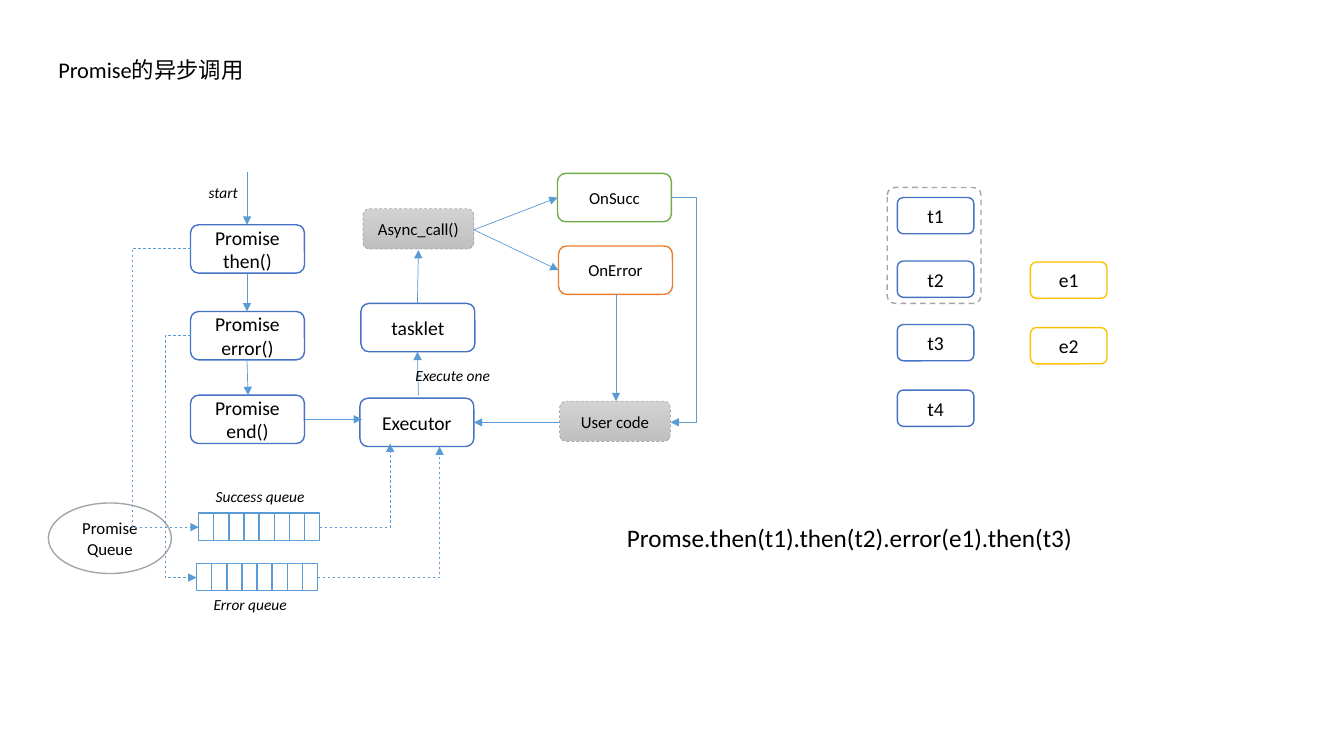
from lxml import etree
from pptx import Presentation
from pptx.dml.color import RGBColor
from pptx.enum.dml import MSO_LINE
from pptx.enum.shapes import MSO_CONNECTOR, MSO_SHAPE
from pptx.enum.text import MSO_ANCHOR, PP_ALIGN
from pptx.oxml.ns import qn
from pptx.util import Inches, Pt

ROUND, OVAL, RECT = MSO_SHAPE.ROUNDED_RECTANGLE, MSO_SHAPE.OVAL, MSO_SHAPE.RECTANGLE
STRAIGHT, ELBOW = MSO_CONNECTOR.STRAIGHT, MSO_CONNECTOR.ELBOW
DASH = MSO_LINE.DASH
LEFT, CENTER = PP_ALIGN.LEFT, PP_ALIGN.CENTER
TOP, MIDDLE = MSO_ANCHOR.TOP, MSO_ANCHOR.MIDDLE
BLUE, SKY, GRAY = "4472C4", "5B9BD5", "A5A5A5"
GREEN, ORANGE, GOLD = "70AD47", "ED7D31", "FFC000"
hue = RGBColor.from_string

deck = Presentation()
deck.slide_width, deck.slide_height = Inches(13.33), Inches(7.5)
slide = deck.slides.add_slide(deck.slide_layouts[6])
page = slide.shapes


def draw(text, x, y, w, h, home=page, kind=None, edge=BLUE, thick=1, dash=None,
         shade=False, size=14, italic=False, wrap=True):
    """Add an outlined shape, or a text box if kind is None, and its text."""
    area = [Inches(n) for n in (x, y, w, h)]
    if kind is None:
        item = home.add_textbox(*area)
    else:
        item = home.add_shape(kind, *area)
        item.shadow.inherit = False
        if shade:
            item.fill.gradient()
            item.fill.gradient_angle = 270
            for stop, tone in zip(item.fill.gradient_stops, ("D2D2D2", "C0C0C0")):
                stop.color.rgb = hue(tone)
        else:
            item.fill.solid()
            item.fill.fore_color.rgb = hue("FFFFFF")
        item.line.color.rgb = hue(edge)
        item.line.width = Pt(thick)
        if dash:
            item.line.dash_style = dash
    if text:
        frame = item.text_frame
        frame.word_wrap = wrap
        frame.vertical_anchor = MIDDLE if kind else TOP
        frame.text = text
        for para in frame.paragraphs:
            para.alignment = CENTER if kind else LEFT
            font = para.runs[0].font
            font.name, font.size, font.italic = "Calibri", Pt(size), italic
            font.color.rgb = hue("000000")
    return item


def link(x1, y1, x2, y2, bend=None, dash=None):
    """Add an arrow; bend is the x at which an elbow turns, if any."""
    ends = [Inches(n) for n in (x1, y1, x2, y2)]
    wire = page.add_connector(STRAIGHT if bend is None else ELBOW, *ends)
    wire.line.color.rgb = hue(SKY)
    wire.line.width = Pt(0.5)
    if dash:
        wire.line.dash_style = dash
    props = wire._element.spPr
    etree.SubElement(props.find(qn("a:ln")), qn("a:tailEnd"), type="triangle")
    etree.SubElement(props, qn("a:effectLst"))
    shape = props.find(qn("a:prstGeom"))
    if bend == x2:
        shape.set("prst", "bentConnector2")
    elif bend is not None:
        ratio = round((bend - x1) / (x2 - x1) * 100000)
        guides = shape.find(qn("a:avLst"))
        etree.SubElement(guides, qn("a:gd"), name="adj1", fmla=f"val {ratio}")


# Title, queue store and task frame
frame = draw("", 8.8, 1.86, 0.93, 1.15, kind=ROUND, edge=GRAY, dash=DASH)
frame.adjustments[0] = 0.08
draw("Promise的异步调用", 0.48, 0.51, 2.06, 0.37, size=16)
draw("Promise Queue", 0.48, 4.99, 1.22, 0.7, kind=OVAL, edge=GRAY, size=12)

# Flow steps
for text, x, y, edge, size in [
    ("Promise\nthen()", 1.89, 2.23, BLUE, 14),
    ("Promise\nerror()", 1.89, 3.09, BLUE, 14),
    ("Promise\nend()", 1.89, 3.92, BLUE, 14),
    ("tasklet", 3.58, 3.01, BLUE, 14),
    ("Executor", 3.57, 3.95, BLUE, 14),
    ("OnSucc", 5.53, 1.72, GREEN, 12),
    ("OnError", 5.54, 2.44, ORANGE, 12),
]:
    draw(text, x, y, 1.13, 0.48, kind=ROUND, edge=edge, size=size)
for text, x, y in [("Async_call()", 3.6, 2.07), ("User code", 5.55, 3.98)]:
    draw(text, x, y, 1.1, 0.4, kind=ROUND, edge=GRAY, thick=0.5, dash=DASH,
         shade=True, size=12)

# Queues of eight cells, each with its label
for text, x, y, left, top, wide in [
    ("Success queue", 1.97, 5.09, 2.04, 4.78, 1.09),
    ("Error queue", 1.95, 5.59, 2.02, 5.85, 0.93),
]:
    queue = page.add_group_shape().shapes
    for cell in range(8):
        draw("", x + cell * 0.15, y, 0.15, 0.27, home=queue, kind=RECT, edge=SKY)
    draw(text, left, top, wide, 0.29, home=queue, size=11, italic=True, wrap=False)

# Straight arrows
for ends in [
    (2.45, 1.71, 2.45, 2.23), (2.45, 2.7, 2.45, 3.09), (2.45, 3.57, 2.46, 3.92),
    (3.03, 4.16, 3.59, 4.16), (4.15, 3.92, 4.14, 3.49), (4.14, 3.01, 4.15, 2.48),
    (4.7, 2.28, 5.53, 1.96), (4.7, 2.28, 5.54, 2.68),
    (6.11, 2.92, 6.11, 3.98), (5.55, 4.19, 4.7, 4.19),
]:
    link(*ends)

# Elbow arrows
for ends, bend, dash in [
    ((1.89, 2.46, 1.97, 5.23), 1.31, DASH),
    ((1.89, 3.33, 1.95, 5.73), 1.64, DASH),
    ((3.17, 5.23, 3.87, 4.4), 3.87, DASH),
    ((3.15, 5.73, 4.36, 4.43), 4.36, DASH),
    ((6.66, 1.96, 6.65, 4.19), 6.91, None),
]:
    link(*ends, bend=bend, dash=dash)

# Arrow labels
for text, x, y, wide in [("Execute one", 4.02, 3.58, 0.95), ("start", 1.97, 1.77, 0.49)]:
    draw(text, x, y, wide, 0.29, size=11, italic=True, wrap=False)

# Sample chain of tasks and error handlers
for text, x, y, edge in [
    ("t1", 8.9, 1.96, BLUE), ("t2", 8.9, 2.59, BLUE),
    ("t3", 8.9, 3.22, BLUE), ("t4", 8.9, 3.87, BLUE),
    ("e1", 10.22, 2.6, GOLD), ("e2", 10.22, 3.25, GOLD),
]:
    draw(text, x, y, 0.76, 0.36, kind=ROUND, edge=edge)
draw("Promse.then(t1).then(t2).error(e1).then(t3)", 6.12, 5.13, 4.67, 0.4,
     size=18, wrap=False)

deck.save("out.pptx")
